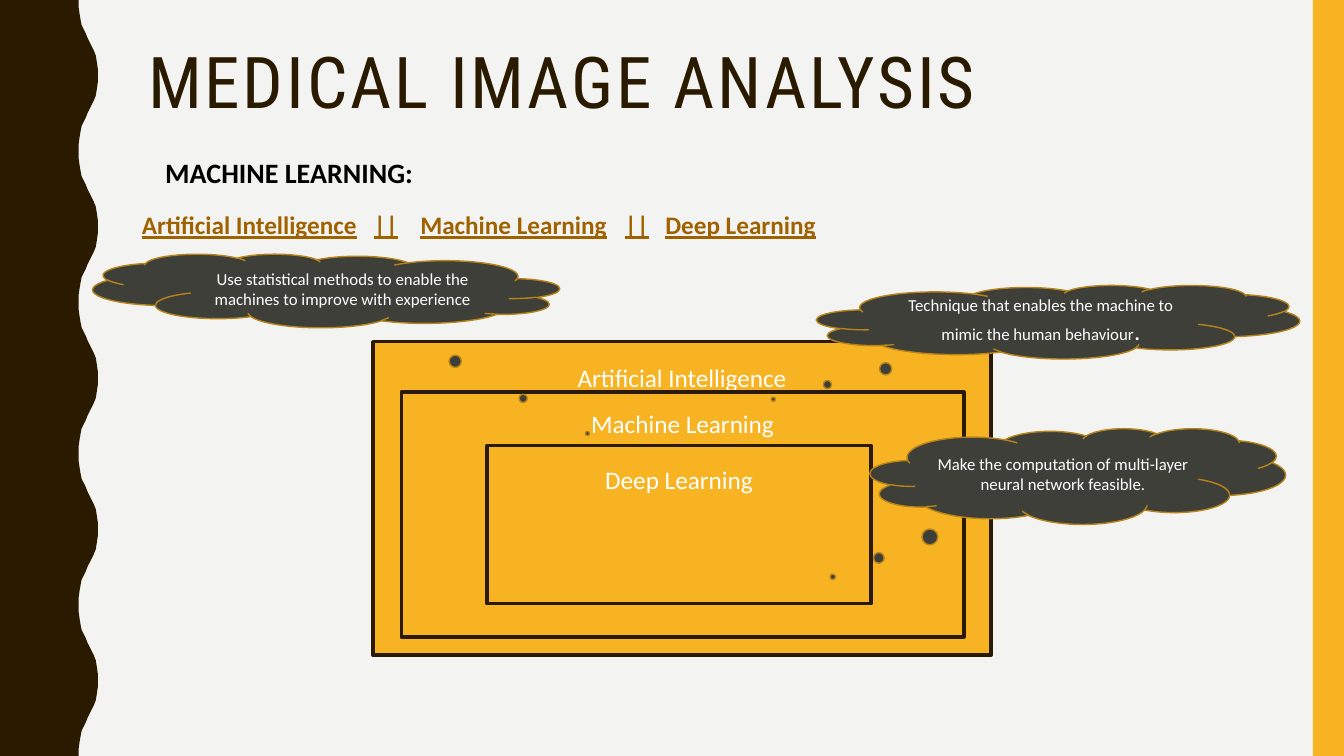
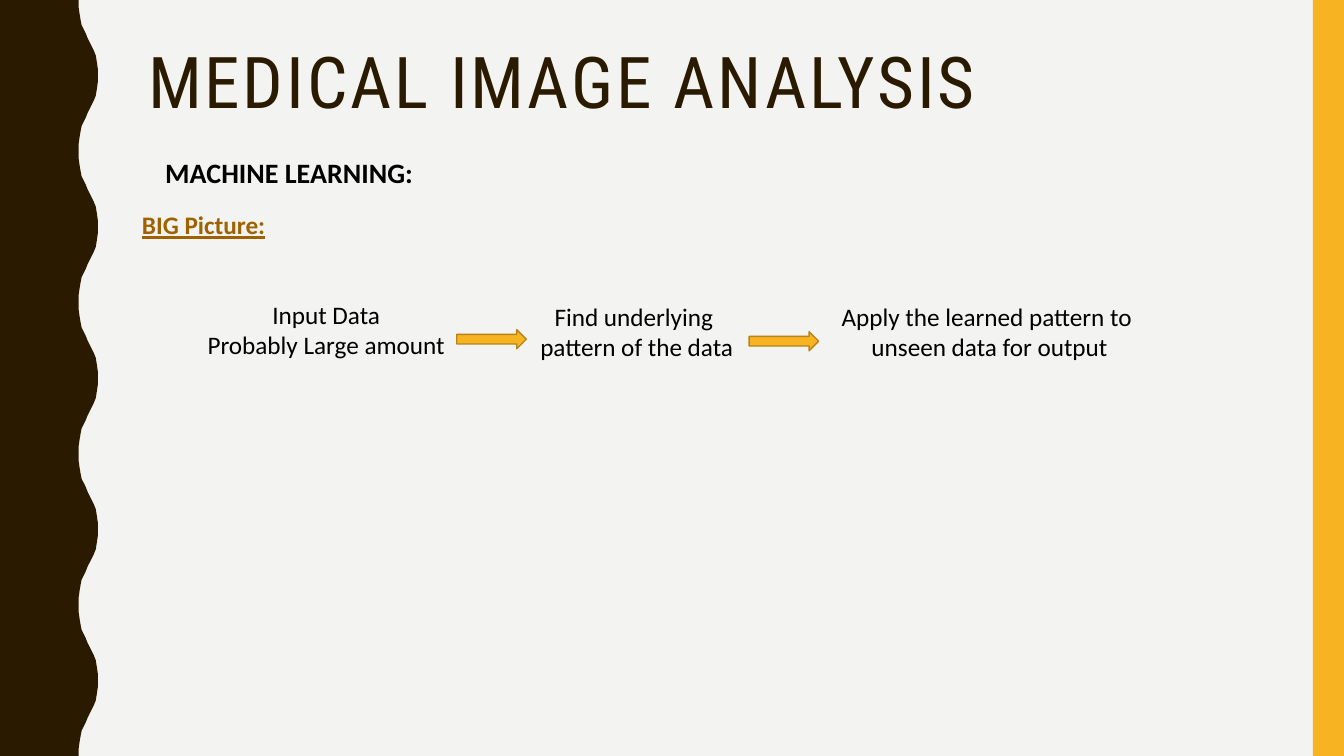
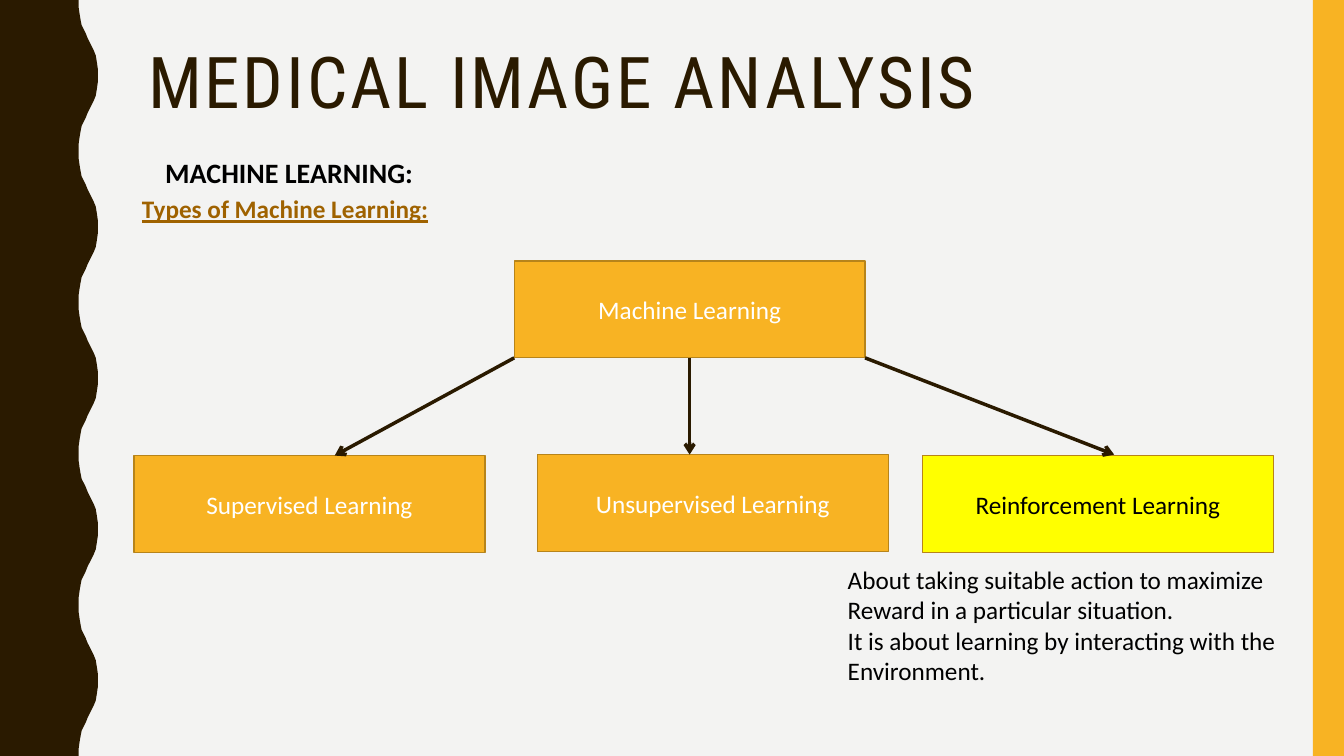
from dataclasses import dataclass

from lxml import etree
from pptx import Presentation
from pptx import util as u
from pptx.dml.color import RGBColor
from pptx.enum import shapes, text
from pptx.oxml import ns

PX = 9144
WIDTH, HEIGHT = 1333, 750
MSO = shapes.MSO_SHAPE
LEFT, CENTER = text.PP_ALIGN.LEFT, text.PP_ALIGN.CENTER
TOP, MIDDLE = text.MSO_ANCHOR.TOP, text.MSO_ANCHOR.MIDDLE


@dataclass(frozen=True)
class Theme:
    paper: str = "F3F3F2"
    dark: str = "2A1A00"
    gold: str = "F8B323"
    edge: str = "B7841A"
    cloud: str = "3F3F3A"
    topic: str = "9F6200"
    highlight: str = "FFFF00"
    black: str = "000000"
    white: str = "FFFFFF"
    head_font: str = "Roboto Condensed"
    body_font: str = "Calibri"
    title: int = 51
    section: int = 20
    body: int = 18
    small: int = 12
    thin: float = 1
    thick: float = 2.5


T = Theme()
RISE = [(78, 0), (78, 7), (79, 14), (80, 20), (81, 25), (83, 29), (85, 33),
        (87, 38), (89, 42), (91, 46), (93, 50), (95, 55), (96, 61), (97, 68)]
WAVE = RISE + [(97, 75)] + [(x, 150 - y) for x, y in reversed(RISE)]


def rgb(color):
    return RGBColor.from_string(color)


def px(*lengths):
    return [n * PX for n in lengths]


class Deck:
    def __init__(self):
        self.prs = Presentation()
        self.prs.slide_width, self.prs.slide_height = px(WIDTH, HEIGHT)
        fill = self.prs.slide_master.background.fill
        fill.solid()
        fill.fore_color.rgb = rgb(T.paper)

    def new_slide(self, topic, topic_top, tabs=()):
        self.slide = self.prs.slides.add_slide(self.prs.slide_layouts[6])
        self.wave()
        self.shape(MSO.RECTANGLE, 1302, 0, 31, HEIGHT, T.gold, None)
        title = self.text(137, 42, 1113, 163, ["MEDICAL IMAGE ANALYSIS"], size=T.title,
                          color=T.dark, font=T.head_font, spacing=0.9)
        title.runs[0]._r.get_or_add_rPr().set("spc", "200")
        self.text(154, 147, 878, 46, ["MACHINE LEARNING:"], size=T.section,
                  bold=True, spacing=1.07)
        p = self.text(131, topic_top, 799, 40, [topic], color=T.topic,
                      bold=True, underline=True)
        if tabs:
            stops = etree.SubElement(p._p.get_or_add_pPr(), ns.qn("a:tabLst"))
            for pos in px(*tabs):
                etree.SubElement(stops, ns.qn("a:tab"), pos=str(pos), algn="l")

    def wave(self):
        points = [(x, y + top) for top in range(0, HEIGHT, 150) for x, y in WAVE]
        outline = self.slide.shapes.build_freeform(0, 0, scale=PX)
        outline.add_line_segments(points + [(0, HEIGHT)], close=True)
        self.paint(outline.convert_to_shape(), T.dark, None)

    def paint(self, sp, fill, line, weight=T.thin):
        sp.shadow.inherit = False
        sp.fill.solid()
        sp.fill.fore_color.rgb = rgb(fill)
        if line:
            sp.line.color.rgb = rgb(line)
            sp.line.width = u.Pt(weight)
        else:
            sp.line.fill.background()

    def shape(self, kind, x, y, w, h, fill=T.gold, line=T.edge, weight=T.thin):
        sp = self.slide.shapes.add_shape(kind, *px(x, y, w, h))
        self.paint(sp, fill, line, weight)
        return sp

    def set_text(self, tf, lines, size=T.body, color=T.black, font=T.body_font, bold=False,
                 underline=False, align=LEFT, anchor=TOP, spacing=None):
        tf.word_wrap = True
        tf.vertical_anchor = anchor
        for i, line in enumerate(lines):
            p = tf.paragraphs[0] if i == 0 else tf.add_paragraph()
            p.alignment = align
            p.line_spacing = spacing
            runs = [(line, size)] if isinstance(line, str) else line
            for words, points in runs:
                r = p.add_run()
                r.text = words
                r.font.name = font
                r.font.size = u.Pt(points)
                r.font.bold = bold
                r.font.underline = underline
                r.font.color.rgb = rgb(color)
        return tf.paragraphs[0]

    def text(self, x, y, w, h, lines, **style):
        sp = self.slide.shapes.add_textbox(*px(x, y, w, h))
        return self.set_text(sp.text_frame, lines, **style)

    def box(self, x, y, label, fill=T.gold, color=T.white):
        sp = self.shape(MSO.RECTANGLE, x, y, 348, 96, fill)
        self.set_text(sp.text_frame, [label], color=color, align=CENTER, anchor=MIDDLE)
        return sp

    def layer(self, x, y, w, h, label, inset):
        sp = self.shape(MSO.RECTANGLE, x, y, w, h, T.gold, T.dark, T.thick)
        sp.text_frame.margin_top = inset * PX
        self.set_text(sp.text_frame, [label], color=T.white, align=CENTER)

    def cloud(self, x, y, w, h, runs, tip=(-0.59, 1.05), flip=False):
        sp = self.shape(MSO.CLOUD_CALLOUT, x, y, w, h, T.cloud)
        sp.adjustments[0], sp.adjustments[1] = tip
        if flip:
            sp._element.spPr.xfrm.set("flipH", "1")
        self.set_text(sp.text_frame, [runs], size=T.small, color=T.white,
                      align=CENTER, anchor=MIDDLE)

    def arrow(self, x1, y1, x2, y2):
        line = self.slide.shapes.add_connector(
            shapes.MSO_CONNECTOR.STRAIGHT, *px(x1, y1, x2, y2))
        line.line.color.rgb = rgb(T.dark)
        line.line.width = u.Pt(T.thick)
        etree.SubElement(line.line._get_or_add_ln(), ns.qn("a:tailEnd"), type="arrow")
        etree.SubElement(line._element.spPr, ns.qn("a:effectLst"))
        return line


def nested_fields(deck):
    deck.new_slide("Artificial Intelligence\t||\tMachine Learning\t||\tDeep Learning",
                   203, tabs=(230, 276, 479, 519))
    deck.layer(370, 339, 613, 311, "Artificial Intelligence", 20)
    deck.layer(398, 389, 558, 243, "Machine Learning", 16)
    deck.layer(483, 442, 381, 157, "Deep Learning", 19)
    deck.cloud(863, 425, 412, 95,
               "Make the computation of multi-layer neural network feasible.")
    deck.cloud(92, 252, 463, 73,
               "Use statistical methods to enable the machines to improve with experience",
               tip=(-0.56, 1.94), flip=True)
    deck.cloud(810, 283, 479, 73,
               [("Technique that enables the machine to mimic the human behaviour", T.small),
                (".", T.body)])


def big_picture(deck):
    deck.new_slide("BIG Picture:", 203)
    steps = [(179, 292, 289, ["Input Data", "Probably Large amount"]),
             (519, 294, 225, ["Find underlying ", "pattern of the data"]),
             (813, 294, 337, ["Apply the learned pattern to ", "unseen data for output"])]
    for x, y, w, lines in steps:
        deck.text(x, y, w, 71, lines, align=CENTER)
    for x, y in [(453, 327), (743, 329)]:
        deck.shape(MSO.RIGHT_ARROW, x, y, 69, 19)


def learning_types(deck):
    deck.new_slide("Types of Machine Learning:", 187)
    root = deck.box(510, 259, "Machine Learning")
    deck.box(133, 452, "Supervised Learning")
    deck.box(533, 451, "Unsupervised Learning")
    deck.box(915, 452, "Reinforcement Learning", T.highlight, T.black)
    deck.arrow(510, 355, 332, 452)
    deck.arrow(684, 355, 684, 451).begin_connect(root, 2)
    deck.arrow(858, 355, 1105, 451)
    deck.text(831, 555, 484, 131, ["About taking suitable action to maximize",
                                   "Reward in a particular situation.",
                                   "It is about learning by interacting with the",
                                   "Environment."])


def main():
    deck = Deck()
    for build in (nested_fields, big_picture, learning_types):
        build(deck)
    deck.prs.save("out.pptx")


if __name__ == "__main__":
    main()
